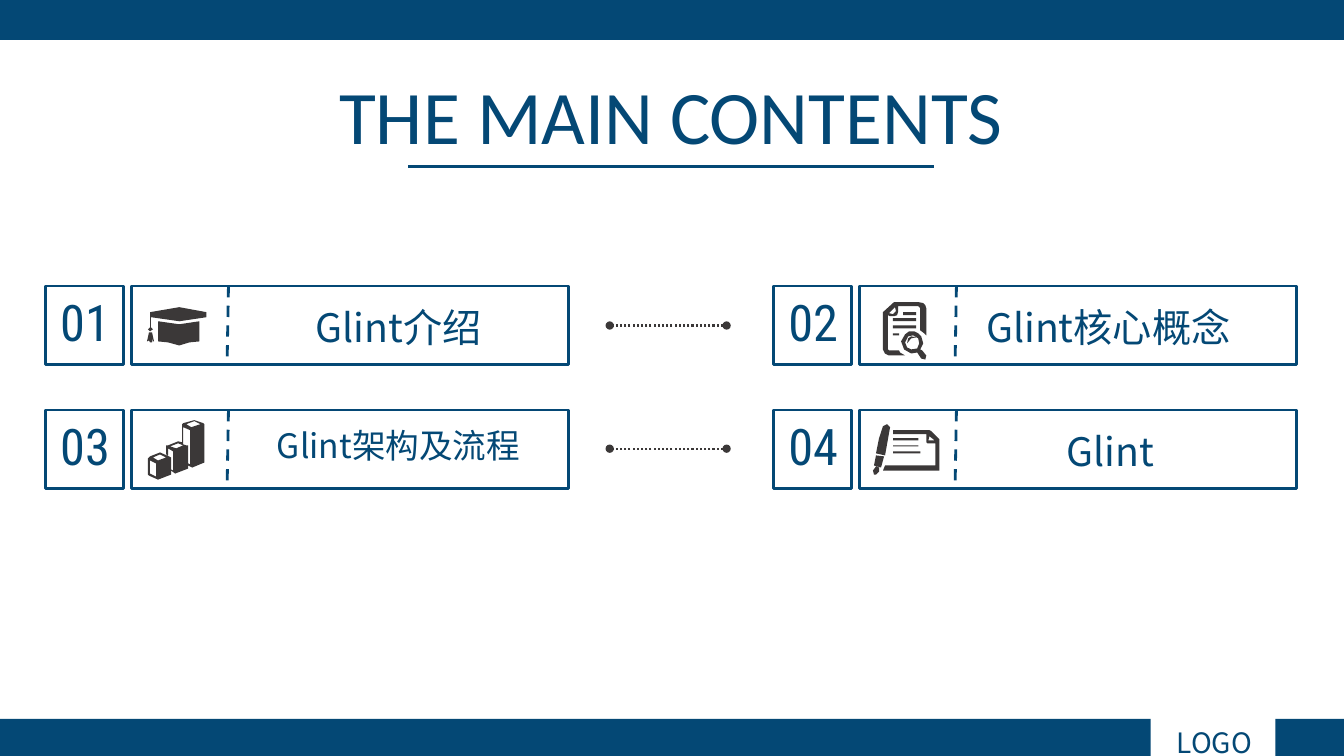
from lxml import etree
from pptx import Presentation
from pptx import util as u
from pptx.dml.color import RGBColor
from pptx.enum import dml, shapes, text
from pptx.oxml import ns

NAVY = RGBColor(0x04, 0x48, 0x75)
CHARCOAL = RGBColor(0x3B, 0x38, 0x38)
CJK_FONT, NUMBER_FONT, TITLE_FONT = "Noto Sans CJK SC", "Roboto Condensed", "Calibri"
ICON_UNIT = 0.72  # points per icon grid step


def bar(left, top, right, bottom):
    return [(left, top), (right, top), (right, bottom), (left, bottom)]


# Icon outlines on the icon grid; inner outlines cut holes
GRADUATION_CAP = [
    [(11, 34), (21, 35), (32, 38), (42, 35), (52, 34), (52, 14), (32, 17), (11, 14)],
    [(59, 5), (59, 10), (32, 14), (4, 10), (4, 20), (6, 22), (3, 24), (1, 22),
     (3, 20), (3, 5), (32, 0)],
    [(5, 25), (2, 25), (0, 34), (2, 33), (3, 35), (5, 35), (5, 30), (6, 34), (7, 34)],
]
SEARCHED_PAGE = [
    [(12, 0), (35, 0), (40, 1), (42, 3), (43, 6), (43, 33), (41, 31), (37, 28),
     (37, 6), (35, 4), (15, 4), (15, 10), (14, 13), (11, 14), (7, 14), (5, 13),
     (5, 47), (6, 48), (16, 48), (17, 50), (22, 53), (6, 53), (2, 51), (0, 47),
     (0, 10), (11, 0)],
    bar(10, 31, 16, 33), bar(10, 23, 33, 26), bar(10, 16, 33, 19), bar(20, 10, 33, 13),
    [(24, 41), (28, 36), (33, 35), (28, 34), (25, 36)],
    [(22, 32), (18, 39), (21, 47), (28, 51), (34, 50), (38, 56), (42, 57), (43, 53),
     (39, 48), (37, 47), (40, 41), (38, 34), (35, 31), (31, 29), (26, 29)],
    [(30, 33), (25, 34), (22, 40), (24, 45), (28, 47), (34, 46), (36, 41), (35, 36)],
    [(12, 5), (6, 11), (10, 12), (13, 9)],
]
RISING_BLOCKS = [
    [(38, 4), (43, 7), (52, 4), (46, 1)],
    [(8, 43), (2, 40), (2, 53), (8, 56)],
    [(22, 26), (28, 28), (35, 25), (30, 23)],
    [(18, 25), (20, 25), (30, 21), (34, 22), (34, 4), (35, 3), (46, 0), (55, 3),
     (56, 4), (56, 42), (44, 47), (40, 45), (40, 48), (27, 53), (23, 50), (23, 54),
     (10, 59), (1, 55), (0, 54), (0, 38), (2, 36), (12, 32), (21, 36), (23, 37),
     (23, 49), (25, 50), (25, 31), (20, 28), (20, 35), (18, 34)],
    [(35, 24), (38, 25), (40, 25), (40, 43), (42, 44), (42, 10), (35, 7)],
    [(5, 37), (10, 40), (18, 37), (12, 34)],
]
PEN_AND_PAGE = [
    [(10, 2), (14, 0), (17, 3), (12, 31), (3, 29), (6, 14)],
    [(12, 41), (10, 46), (66, 46), (66, 15), (58, 7), (56, 6), (20, 6), (20, 10),
     (53, 10), (53, 18), (54, 19), (62, 19), (62, 41)],
    [(61, 16), (55, 16), (56, 12)],
    bar(20, 27, 47, 29), bar(20, 21, 45, 22), bar(20, 14, 45, 16),
    [(3, 42), (6, 43), (6, 47), (3, 50), (1, 50), (0, 46)],
    [(3, 31), (1, 41), (8, 43), (11, 32)],
]


class ContentsSlide:
    def __init__(self, slide):
        self.shapes = slide.shapes
        self.main, self.accent = NAVY, CHARCOAL
        self.line_width = u.Pt(2)

    def box(self, left, top, width, height, filled=False):
        rect = self.shapes.add_shape(shapes.MSO_SHAPE.RECTANGLE, u.Pt(left), u.Pt(top),
                                     u.Pt(width), u.Pt(height))
        rect.shadow.inherit = False
        if filled:
            rect.fill.solid()
            rect.fill.fore_color.rgb = self.main
            rect.line.fill.background()
        else:
            rect.fill.background()
            rect.line.color.rgb = self.main
            rect.line.width = self.line_width

    def label(self, words, left, top, width, height, size, font):
        frame = self.shapes.add_textbox(u.Pt(left), u.Pt(top), u.Pt(width),
                                        u.Pt(height)).text_frame
        frame.word_wrap = True
        frame.auto_size = text.MSO_AUTO_SIZE.SHAPE_TO_FIT_TEXT
        paragraph = frame.paragraphs[0]
        paragraph.alignment = text.PP_ALIGN.CENTER
        run = paragraph.add_run()
        run.text = words
        run.font.size = u.Pt(size)
        run.font.name = font
        run.font.color.rgb = self.main
        etree.SubElement(run.font._element, ns.qn("a:ea"), typeface=font)

    def rule(self, x1, y1, x2, y2, dash=None, dotted_ends=False):
        line = self.shapes.add_connector(shapes.MSO_CONNECTOR.STRAIGHT, u.Pt(x1), u.Pt(y1),
                                         u.Pt(x2), u.Pt(y2))
        line.line.color.rgb = self.accent if dotted_ends else self.main
        line.line.width = u.Pt(1.5) if dotted_ends else self.line_width
        if dash:
            line.line.dash_style = dash
        properties = line._element.spPr
        if dotted_ends:
            outline = properties.find(ns.qn("a:ln"))
            for end in ("a:headEnd", "a:tailEnd"):
                etree.SubElement(outline, ns.qn(end), type="oval")
        etree.SubElement(properties, ns.qn("a:effectLst"))

    def icon(self, outlines, left, top):
        builder = self.shapes.build_freeform(*outlines[0][0], scale=u.Pt(ICON_UNIT))
        for number, outline in enumerate(outlines):
            if number:
                builder.move_to(*outline[0])
            builder.add_line_segments(outline[1:], close=True)
        drawing = builder.convert_to_shape(u.Pt(left), u.Pt(top))
        drawing.shadow.inherit = False
        drawing.fill.solid()
        drawing.fill.fore_color.rgb = self.accent
        drawing.line.fill.background()

    def entry(self, left, top, number, topic, size, topic_at, outlines, icon_at):
        panel = left + 61.9
        self.icon(outlines, panel + icon_at[0], top + icon_at[1])
        self.label(topic, panel + topic_at[0], top + topic_at[1], 224, 43, size, CJK_FONT)
        self.box(panel, top, 312, 56.2)
        self.rule(panel + 69, top, panel + 68, top + 56.2, dml.MSO_LINE.DASH)
        self.box(left, top, 56.2, 56.2)
        self.label(number, left - 8, top, 73, 51, 36, NUMBER_FONT)


def main():
    deck = Presentation()
    deck.slide_width, deck.slide_height = u.Pt(960), u.Pt(540)
    page = ContentsSlide(deck.slides.add_slide(deck.slide_layouts[6]))

    # Header and footer bands
    page.box(0, 0, 960, 28.5, filled=True)
    page.box(911, 513.5, 49, 26.5, filled=True)
    page.box(0, 513.5, 822, 26.5, filled=True)
    page.label("LOGO", 808.5, 514.8, 118, 31.5, 20, CJK_FONT)

    # Contents entries: two columns by two rows
    entries = [
        ("01", "Glint介绍", 28, (78.5, 8.5), GRADUATION_CAP, (10.8, 15.1)),
        ("02", "Glint核心概念", 28, (65.5, 8.5), SEARCHED_PAGE, (16.5, 11.5)),
        ("03", "Glint架构及流程", 24, (78.5, 7.2), RISING_BLOCKS, (11.5, 7.2)),
        ("04", "Glint", 28, (67, 8.5), PEN_AND_PAGE, (9.4, 10.1)),
    ]
    for index, details in enumerate(entries):
        row, column = divmod(index, 2)
        page.entry(32.3 + 520 * column, 204.3 + 88.6 * row, *details)

    # Dotted links between the columns
    for row in range(2):
        y = 232.5 + 88 * row
        page.rule(519, y, 435.5, y, dml.MSO_LINE.ROUND_DOT, dotted_ends=True)

    # Title
    page.label("THE MAIN CONTENTS", 216, 46, 526.5, 72.7, 54, TITLE_FONT)
    page.rule(291.5, 118.8, 667.5, 118.8)

    deck.save("out.pptx")


if __name__ == "__main__":
    main()
